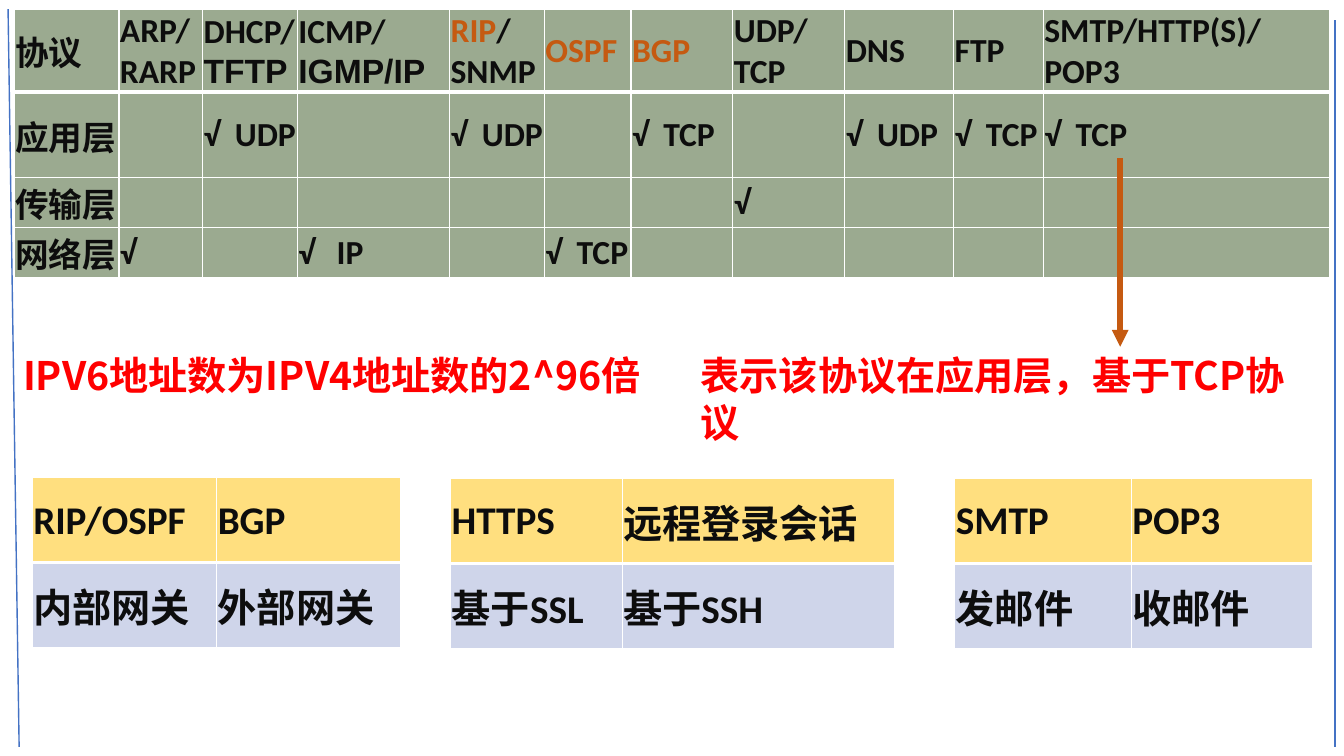
from lxml.etree import SubElement
from pptx import Presentation
from pptx.dml.color import RGBColor
from pptx.enum.shapes import MSO_CONNECTOR
from pptx.enum.text import MSO_ANCHOR
from pptx.oxml.ns import qn
from pptx.util import Inches, Pt

COLORS = {
    "ink": "0D0D0D", "orange": "C55A11", "red": "FF0000", "blue": "4472C4",
    "green": "385723", "gold": "FFC000", "pale": "CFD5EA", "white": "FFFFFF",
}
CJK_FONT = "Noto Sans CJK SC"


def add_span(para, text, size, color="ink", face="Calibri"):
    span = para.add_run()
    span.text = text
    for name, value in {"size": Pt(size), "bold": True, "name": face}.items():
        setattr(span.font, name, value)
    span.font.color.rgb = RGBColor.from_string(COLORS[color])
    SubElement(span.font._element, qn("a:ea"), typeface=CJK_FONT)


def style_cell(cell, row, fill, alpha):
    margins = {"margin_left": 0.01, "margin_top": 0.01, "margin_right": 0.01, "margin_bottom": 0}
    for name, value in margins.items():
        setattr(cell, name, Inches(value))
    cell.vertical_anchor = MSO_ANCHOR.MIDDLE
    cell.fill.solid()
    cell.fill.fore_color.rgb = RGBColor.from_string(COLORS[fill])
    properties = cell._tc.tcPr
    if alpha < 100:
        tint = properties.find(qn("a:solidFill"))[0]
        SubElement(tint, qn("a:alpha"), val=str(alpha * 1000))
    for index, side in enumerate(("lnL", "lnR", "lnT", "lnB")):
        thick = (row, side) in ((0, "lnB"), (1, "lnT"))
        border = SubElement(properties, qn(f"a:{side}"), w=str(Pt(3 if thick else 1)))
        paint = SubElement(border, qn("a:solidFill"))
        SubElement(paint, qn("a:srgbClr"), val=COLORS["white"])
        properties.insert(index, border)


deck = Presentation()
deck.slide_width = Inches(13.33)
deck.slide_height = Inches(7.5)
page = deck.slides.add_slide(deck.slide_layouts[6])

protocol_rows = [
    ["协议", "ARP/\nRARP", "DHCP/\nTFTP", "ICMP/\nIGMP/IP", "RIP/\nSNMP", "OSPF", "BGP",
     "UDP/\nTCP", "DNS", "FTP", "SMTP/HTTP(S)/\nPOP3"],
    ["应用层", "", "√\tUDP", "", "√\tUDP", "", "√\tTCP", "", "√\tUDP", "√\tTCP", "√\tTCP"],
    ["传输层", "", "", "", "", "", "", "√", "", "", ""],
    ["网络层", "√", "", "√\tIP", "", "√\tTCP", "", "", "", "", ""],
]
pair_heights = [0.84, 0.84]
tables = [
    (0.14, 0.09, [1.04, 0.83, 0.94, 1.51, 0.94, 0.86, 1.01, 1.11, 1.08, 0.89, 2.84],
     [0.73, 0.85, 0.48, 0.48], 24, protocol_rows),
    (0.32, 4.74, [1.83, 1.82], pair_heights, 28,
     [["RIP/OSPF", "BGP"], ["内部网关", "外部网关"]]),
    (4.47, 4.75, [1.7, 2.7], pair_heights, 28,
     [["HTTPS", "远程登录会话"], ["基于SSL", "基于SSH"]]),
    (9.47, 4.75, [1.75, 1.8], pair_heights, 28,
     [["SMTP", "POP3"], ["发邮件", "收邮件"]]),
]
arial_lines = ("协议", "TFTP", "IGMP/IP")
routing_lines = ("RIP/", "OSPF", "BGP")

for left, top, widths, heights, size, rows in tables:
    frame = page.shapes.add_table(
        len(rows), len(widths), Inches(left), Inches(top),
        Inches(sum(widths)), Inches(sum(heights)))
    table = frame.table
    table.horz_banding = False
    for column, width in zip(table.columns, widths):
        column.width = Inches(width)
    for line, height in zip(table.rows, heights):
        line.height = Inches(height)
    is_protocols = rows is protocol_rows
    for row, texts in enumerate(rows):
        for column, text in enumerate(texts):
            cell = table.cell(row, column)
            if is_protocols:
                style_cell(cell, row, "green", 50)
            elif row == 0:
                style_cell(cell, row, "gold", 50)
            else:
                style_cell(cell, row, "pale", 100)
            if not text:
                continue
            for index, words in enumerate(text.split("\n")):
                body = cell.text_frame
                para = body.paragraphs[0] if index == 0 else body.add_paragraph()
                if "\t" in words:
                    tabs = SubElement(para._p.get_or_add_pPr(), qn("a:tabLst"))
                    stop = 0.38 if words.endswith("IP") else 0.31
                    SubElement(tabs, qn("a:tab"), pos=str(Inches(stop)), algn="l")
                face = "Arial" if words in arial_lines else "Calibri"
                if is_protocols and row == 0 and words in routing_lines:
                    add_span(para, words.rstrip("/"), size, "orange", face)
                    if words.endswith("/"):
                        add_span(para, "/", size, "ink", face)
                else:
                    add_span(para, words, size, "ink", face)

notes = [
    (0.13, 7.01, "IPV6地址数为IPV4地址数的2^96倍"),
    (6.85, 6.28, "表示该协议在应用层，基于TCP协议"),
]
for left, width, text in notes:
    box = page.shapes.add_textbox(Inches(left), Inches(3.44), Inches(width), Inches(0.57))
    box.text_frame.word_wrap = True
    add_span(box.text_frame.paragraphs[0], text, 28, "red", CJK_FONT)

lines = [
    (11.11, 1.57, 11.11, 3.44, "orange", 4, True),
    (0.08, 0.09, 0.19, 7.41, "blue", 1, False),
    (13.24, 0.2, 13.24, 7.41, "blue", 2, False),
]
for x1, y1, x2, y2, color, weight, has_arrow in lines:
    line = page.shapes.add_connector(
        MSO_CONNECTOR.STRAIGHT, Inches(x1), Inches(y1), Inches(x2), Inches(y2))
    line.line.color.rgb = RGBColor.from_string(COLORS[color])
    line.line.width = Pt(weight)
    if has_arrow:
        SubElement(line.line._get_or_add_ln(), qn("a:tailEnd"), type="triangle")
    SubElement(line._element.spPr, qn("a:effectLst"))

deck.save("out.pptx")
